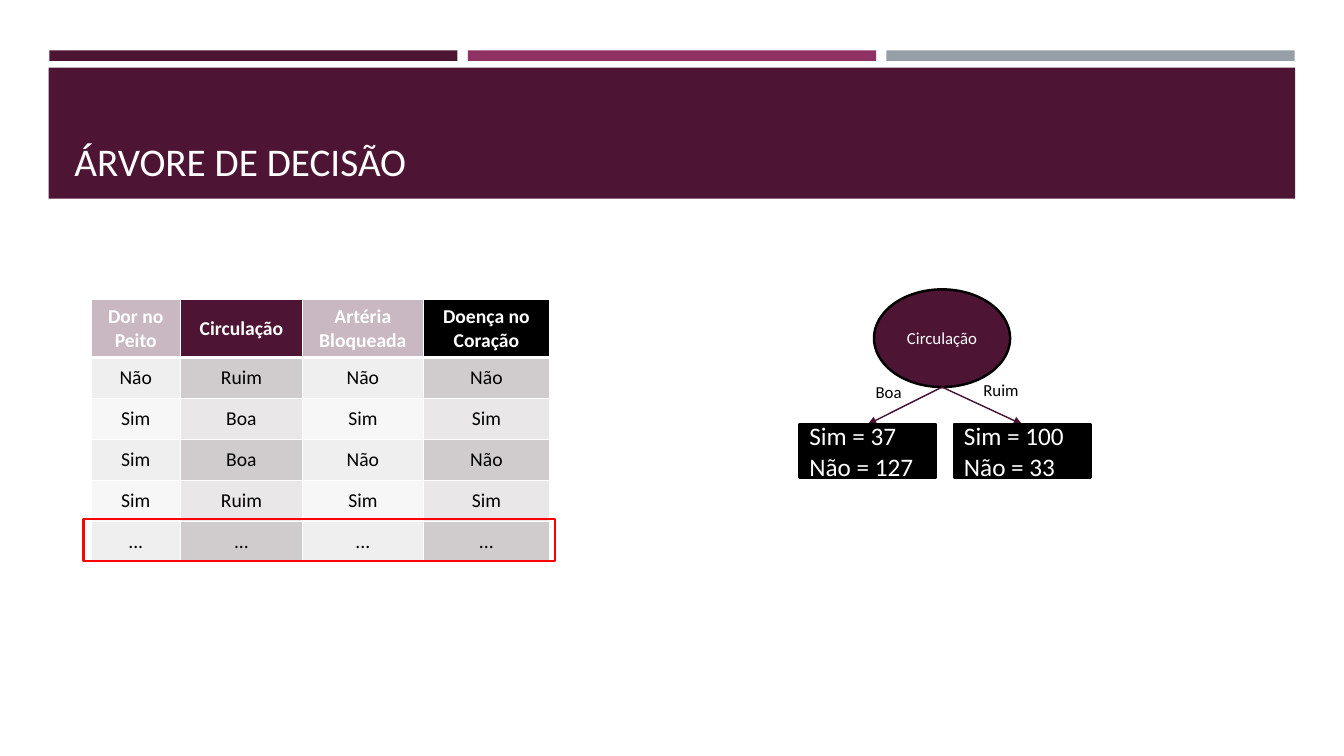
from lxml import etree
from pptx import Presentation
from pptx.dml.color import RGBColor
from pptx.enum.shapes import MSO_CONNECTOR, MSO_SHAPE
from pptx.enum.text import MSO_ANCHOR, PP_ALIGN
from pptx.oxml import parse_xml
from pptx.oxml.ns import nsdecls, qn
from pptx.util import Pt

RECT, OVAL = MSO_SHAPE.RECTANGLE, MSO_SHAPE.OVAL
STRAIGHT = MSO_CONNECTOR.STRAIGHT
MIDDLE, TOP, BOTTOM = MSO_ANCHOR.MIDDLE, MSO_ANCHOR.TOP, MSO_ANCHOR.BOTTOM
LEFT, CENTER, JUSTIFY = PP_ALIGN.LEFT, PP_ALIGN.CENTER, PP_ALIGN.JUSTIFY

FONT = "Calibri"
PLUM, BLACK, WHITE = "4D1434", "000000", "FFFFFF"
TITLE = "ÁRVORE DE DECISÃO"
BAR_COLORS = [PLUM, "903163", "969FA7"]
ROWS = [
    ["Dor no Peito", "Circulação", "Artéria Bloqueada", "Doença no Coração"],
    ["Não", "Ruim", "Não", "Não"],
    ["Sim", "Boa", "Sim", "Sim"],
    ["Sim", "Boa", "Não", "Não"],
    ["Sim", "Ruim", "Sim", "Sim"],
    ["...", "...", "...", "..."],
]
COL_WIDTHS = [64, 87, 86.5, 90]
HEADER_FILLS = [PLUM, PLUM, PLUM, BLACK]
BAND_FILLS = ["E9E7E8", "D0CCCE"]
FADED_COLS = (0, 2)
TABLE_X, TABLE_Y, HEADER_H, ROW_H = 65, 214, 41, 29.3
NODE = "Circulação"
NODE_BOX = (624.3, 206.7, 97.2, 69.8)
LEAF_Y, LEAF_W, LEAF_H = 303, 97.5, 38
# branch label, label box, leaf text, leaf left, arrow end
BRANCHES = [
    ("Boa", (617, 268.8, 35.5, 21.8), "Sim = 37\nNão = 127", 571, 620),
    ("Ruim", (694, 268, 42, 21.8), "Sim = 100\nNão = 33", 681.5, 730),
]


def rgb(color):
    return RGBColor.from_string(color)


def write(tf, text, size, color, align=CENTER, anchor=MIDDLE, bold=False):
    tf.text = text
    tf.word_wrap = True
    tf.vertical_anchor = anchor
    for p in tf.paragraphs:
        p.alignment = align
        for r in p.runs:
            r.font.name, r.font.size, r.font.bold = FONT, Pt(size), bold
            r.font.color.rgb = rgb(color)


def add_box(kind, box, fill=None, line=None):
    sp = s.shapes.add_shape(kind, *map(Pt, box))
    sp.shadow.inherit = False
    if fill:
        sp.fill.solid()
        sp.fill.fore_color.rgb = rgb(fill)
    else:
        sp.fill.background()
    if line:
        sp.line.color.rgb = rgb(line)
        sp.line.width = Pt(1.75)
    else:
        sp.line.fill.background()
    return sp


def add_arrow(x1, y1, x2, y2):
    line = s.shapes.add_connector(STRAIGHT, Pt(x1), Pt(y1), Pt(x2), Pt(y2))
    line.line.color.rgb = rgb("45122F")
    line.line.width = Pt(1)
    etree.SubElement(line.line._get_or_add_ln(), qn("a:tailEnd"), type="triangle")
    etree.SubElement(line.element.spPr, qn("a:effectLst"))


def style_cell(cell, fill, faded, top, bottom):
    """Draw white borders, then the fill, at 30% opacity when faded."""
    tc_pr = cell._tc.get_or_add_tcPr()
    for side, width in (("L", 1), ("R", 1), ("T", top), ("B", bottom)):
        tc_pr.append(parse_xml(
            f'<a:ln{side} {nsdecls("a")} w="{Pt(width)}"><a:solidFill>'
            f'<a:srgbClr val="{WHITE}"/></a:solidFill></a:ln{side}>'))
    cell.fill.solid()
    cell.fill.fore_color.rgb = rgb(fill)
    if faded:
        color = tc_pr.find(qn("a:solidFill")).find(qn("a:srgbClr"))
        etree.SubElement(color, qn("a:alpha"), val="30000")


def add_data_table():
    height = HEADER_H + ROW_H * (len(ROWS) - 1)
    table = s.shapes.add_table(len(ROWS), len(COL_WIDTHS), Pt(TABLE_X), Pt(TABLE_Y),
                               Pt(sum(COL_WIDTHS)), Pt(height)).table
    for col, width in zip(table.columns, COL_WIDTHS):
        col.width = Pt(width)
    for i, row in enumerate(ROWS):
        header = i == 0
        table.rows[i].height = Pt(HEADER_H if header else ROW_H)
        for j, text in enumerate(row):
            cell = table.cell(i, j)
            write(cell.text_frame, text, 14, WHITE if header else BLACK, bold=header)
            cell.vertical_anchor = MIDDLE
            style_cell(cell, HEADER_FILLS[j] if header else BAND_FILLS[i % 2],
                       j in FADED_COLS, 3 if i == 1 else 1, 3 if header else 1)


prs = Presentation()
prs.slide_width, prs.slide_height = Pt(960), Pt(540)
s = prs.slides.add_slide(prs.slide_layouts[5])

for i, color in enumerate(BAR_COLORS):
    add_box(RECT, (35.2 + 299 * i, 36, 291.6, 7.5), color)
add_box(RECT, (34.8, 48.4, 890.3, 93.6), PLUM)

title = s.shapes.title
title.left, title.top, title.width, title.height = Pt(46), Pt(55.5), Pt(868), Pt(80)
write(title.text_frame, TITLE, 28, WHITE, LEFT, BOTTOM)
title.element.getparent().append(title.element)  # bring in front of the band

add_data_table()
last_row_y = TABLE_Y + HEADER_H + ROW_H * (len(ROWS) - 2)
add_box(RECT, (59.5, last_row_y - 1.5, 337, 30), line="FF0000")

node = add_box(OVAL, NODE_BOX, PLUM, BLACK)
write(node.text_frame, NODE, 12, WHITE)
x, y, w, h = NODE_BOX
for label, label_box, counts, leaf_x, arrow_x in BRANCHES:
    add_arrow(x + w / 2, y + h, arrow_x, LEAF_Y)
    tb = s.shapes.add_textbox(*map(Pt, label_box))
    write(tb.text_frame, label, 12, BLACK, anchor=TOP)
    leaf = add_box(RECT, (leaf_x, LEAF_Y, LEAF_W, LEAF_H), BLACK, BLACK)
    write(leaf.text_frame, counts, 18, WHITE, JUSTIFY)

prs.save("out.pptx")
